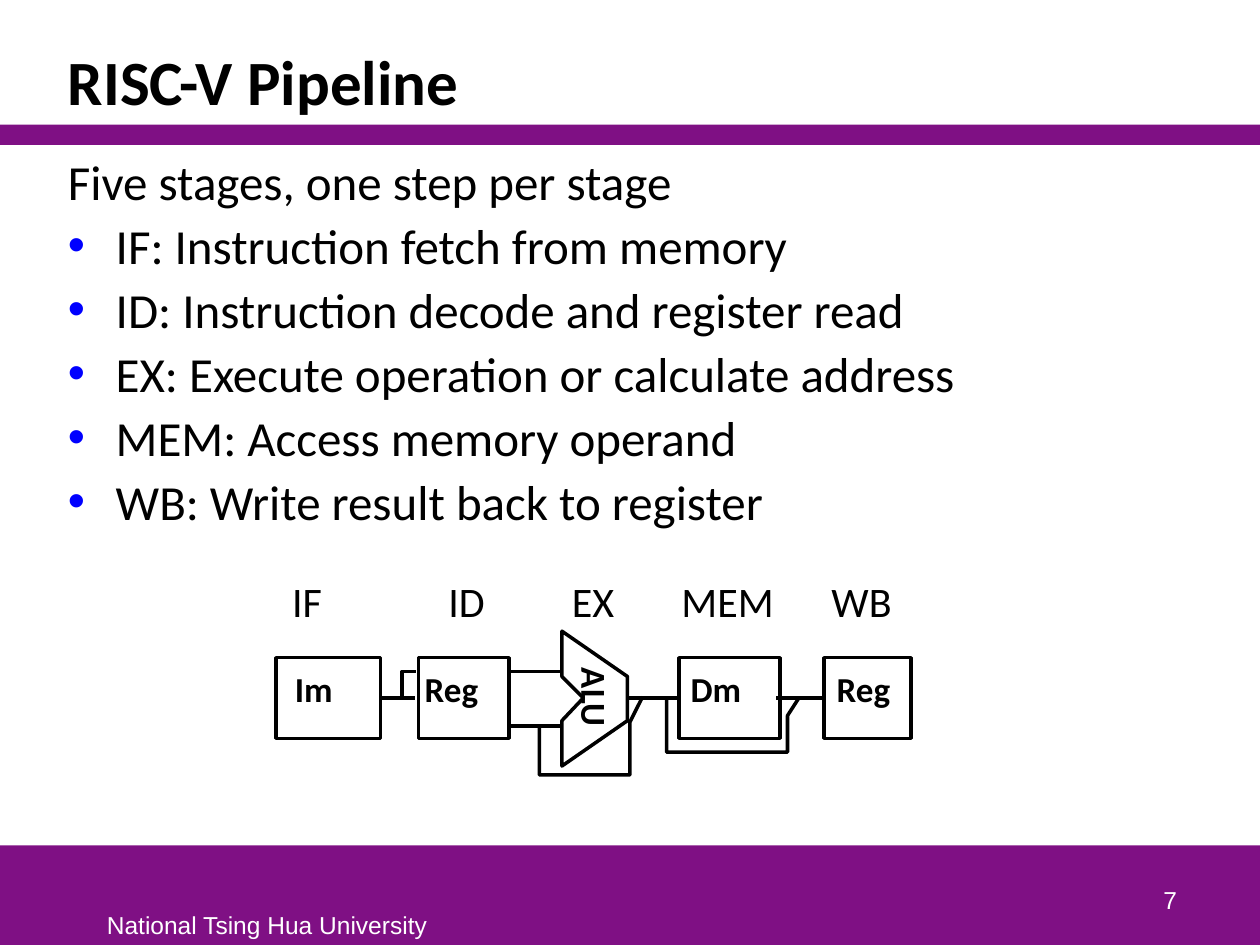
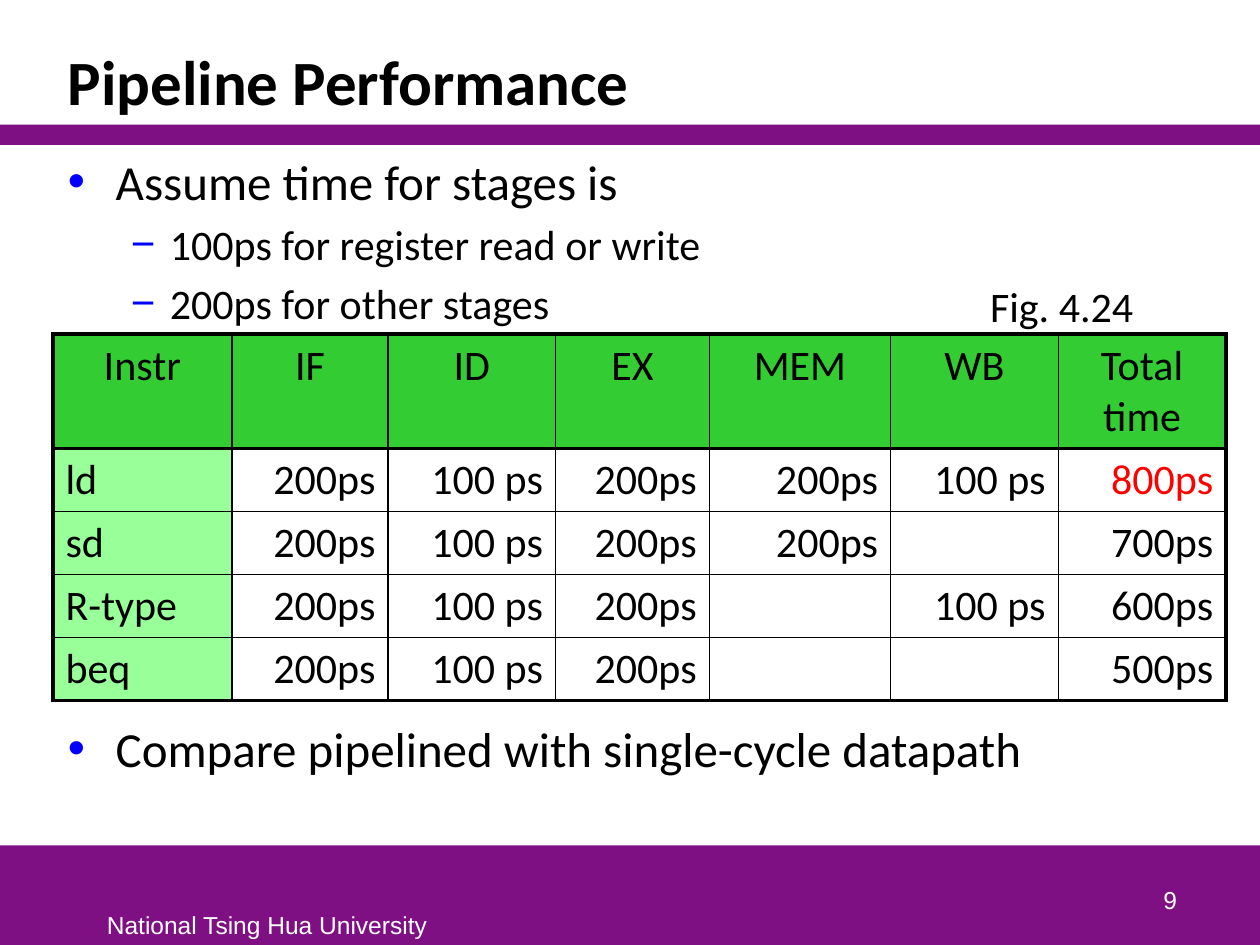
from lxml.etree import SubElement
from pptx import Presentation
from pptx.dml.color import RGBColor
from pptx.enum.shapes import MSO_CONNECTOR, MSO_SHAPE
from pptx.enum.text import MSO_ANCHOR, MSO_AUTO_SIZE, PP_ALIGN
from pptx.oxml.ns import qn
from pptx.util import Inches, Pt

COLOURS = {
    "purple": "7F1084",
    "black": "000000",
    "white": "FFFFFF",
    "blue": "0000FF",
    "red": "FF0000",
    "header green": "33CC33",
    "name green": "99FF99",
}

STYLES = {
    "title": {"name": "Calibri", "size": Pt(36), "bold": True},
    "body": {"name": "Calibri", "size": Pt(28)},
    "small": {"name": "Calibri", "size": Pt(24)},
    "part": {"name": "Calibri", "size": Pt(20), "bold": True},
    "footer": {"name": "Arial", "size": Pt(14)},
}

BULLETS = {
    "plain": None,
    "dot": ("•", 0.38, -0.38),
    "dash": ("−", 0.81, -0.31),
}
SPACES_BEFORE = {"plain": Pt(3), "dot": Pt(3), "dash": Pt(5)}

LINE_WIDTH = Pt(2)
PART_TOP, PART_HEIGHT = 5.22, 0.64
WIRE_Y = 5.54

STAGES = [
    ("IF", 2.22, 0.44),
    ("ID", 3.46, 0.49),
    ("EX", 4.44, 0.54),
    ("MEM", 5.31, 0.94),
    ("WB", 6.5, 0.68),
]
PARTS = [
    ("Im", 2.19, 0.83, 2.25, 0.49),
    ("Reg", 3.32, 0.72, 3.28, 0.62),
    ("Dm", 5.39, 0.8, 5.39, 0.59),
    ("Reg", 6.54, 0.69, 6.55, 0.62),
]
WIRES = [
    (3.02, 3.29, WIRE_Y),
    (4.04, 4.46, 5.33),
    (4.04, 4.46, 5.76),
    (4.98, 5.39, WIRE_Y),
    (6.16, 6.54, WIRE_Y),
]
ALU_OUTLINE = [(4.46, 5.72), (4.63, 5.54), (4.46, 5.37), (4.46, 5.01),
               (4.98, 5.37), (4.98, 5.72), (4.46, 6.08)]
BENT_WIRES = [
    [(3.19, 5.54), (3.19, 5.33), (3.3, 5.33)],
    [(5.29, 5.54), (5.29, 5.97), (6.25, 5.97), (6.25, 5.68), (6.34, 5.54)],
    [(4.28, 5.76), (4.28, 6.15), (5, 6.15), (5, 5.73), (5.1, 5.53)],
]

TIMES = [
    ["Instr", "IF", "ID", "EX", "MEM", "WB", "Total time"],
    ["ld", "200ps", "100 ps", "200ps", "200ps", "100 ps", "800ps"],
    ["sd", "200ps", "100 ps", "200ps", "200ps", "", "700ps"],
    ["R-type", "200ps", "100 ps", "200ps", "", "100 ps", "600ps"],
    ["beq", "200ps", "100 ps", "200ps", "", "", "500ps"],
]
COLUMN_WIDTHS = [1.42, 1.24, 1.33, 1.22, 1.44, 1.33, 1.33]
ROW_HEIGHTS = [0.91] + [0.5] * 4


def colour(name):
    return RGBColor.from_string(COLOURS[name])


def write(para, text, style, ink="black"):
    span = para.add_run()
    span.text = text
    for key, value in STYLES[style].items():
        setattr(span.font, key, value)
    span.font.color.rgb = colour(ink)


def add_box(page, place, wrap=True):
    box = page.shapes.add_textbox(*map(Inches, place))
    box.text_frame.word_wrap = wrap
    if not wrap:
        box.text_frame.auto_size = MSO_AUTO_SIZE.SHAPE_TO_FIT_TEXT
    return box


def add_text(page, text, place, style, ink="black", wrap=False,
             anchor=MSO_ANCHOR.TOP, **layout):
    box = add_box(page, place, wrap)
    box.text_frame.vertical_anchor = anchor
    para = box.text_frame.paragraphs[0]
    for key, value in layout.items():
        setattr(para, key, value)
    write(para, text, style, ink)
    return box


def add_part_label(page, name, place):
    box = add_text(page, name, place, "part")
    box.text_frame.margin_left = box.text_frame.margin_right = Inches(0.09)
    return box


def add_bullet(para, mark, left, indent):
    properties = para._p.get_or_add_pPr()
    properties.set("marL", str(Inches(left)))
    properties.set("indent", str(Inches(indent)))
    tint = SubElement(properties, qn("a:buClr"))
    SubElement(tint, qn("a:srgbClr"), val=COLOURS["blue"])
    SubElement(properties, qn("a:buFont"), typeface="Arial")
    SubElement(properties, qn("a:buChar"), char=mark)


def add_body(page, top, height, lines):
    frame = add_box(page, (0.44, top, 9.12, height)).text_frame
    for index, (text, bullet, style) in enumerate(lines):
        para = frame.add_paragraph() if index else frame.paragraphs[0]
        if BULLETS[bullet]:
            add_bullet(para, *BULLETS[bullet])
        if index:
            para.space_before = SPACES_BEFORE[bullet]
        write(para, text, style)


def add_band(page, top, height):
    band = page.shapes.add_shape(
        MSO_SHAPE.RECTANGLE, 0, Inches(top), Inches(10), Inches(height))
    band.shadow.inherit = False
    band.fill.solid()
    band.fill.fore_color.rgb = colour("purple")
    band.line.fill.background()


def draw_outline(shape):
    shape.shadow.inherit = False
    shape.fill.background()
    shape.line.color.rgb = colour("black")
    shape.line.width = LINE_WIDTH


def add_path(page, points, close=False):
    start, *rest = [(Inches(x), Inches(y)) for x, y in points]
    builder = page.shapes.build_freeform(*start)
    builder.add_line_segments(rest, close=close)
    draw_outline(builder.convert_to_shape())


def add_part(page, name, left, width, text_left, text_width):
    add_part_label(page, name, (text_left, 5.25, text_width, 0.43))
    part = page.shapes.add_shape(
        MSO_SHAPE.RECTANGLE,
        *map(Inches, (left, PART_TOP, width, PART_HEIGHT)))
    draw_outline(part)


def add_wire(page, start, end, y):
    wire = page.shapes.add_connector(
        MSO_CONNECTOR.STRAIGHT, *map(Inches, (start, y, end, y)))
    wire.line.color.rgb = colour("black")
    wire.line.width = LINE_WIDTH
    SubElement(wire._element.spPr, qn("a:effectLst"))


def add_border(cell, side, points):
    border = SubElement(cell._tc.get_or_add_tcPr(), qn(f"a:ln{side}"),
                        w=str(Pt(points)))
    fill = SubElement(border, qn("a:solidFill"))
    SubElement(fill, qn("a:srgbClr"), val=COLOURS["black"])


def format_cell(cell, row, column):
    last_row, last_column = len(TIMES) - 1, len(COLUMN_WIDTHS) - 1
    borders = {
        "L": 2.25 if column == 0 else 1,
        "R": 2.25 if column == last_column else 1,
        "T": {0: 2.25, 1: 1.5}.get(row, 1),
        "B": {0: 1.5, last_row: 2.25}.get(row, 1),
    }
    for side, points in borders.items():
        add_border(cell, side, points)
    if row == 0:
        fill, alignment = "header green", PP_ALIGN.CENTER
    elif column == 0:
        fill, alignment = "name green", PP_ALIGN.LEFT
    else:
        fill, alignment = "white", PP_ALIGN.RIGHT
    cell.fill.solid()
    cell.fill.fore_color.rgb = colour(fill)
    cell.text_frame.paragraphs[0].alignment = alignment


def add_time_table(page):
    frame = page.shapes.add_table(
        len(TIMES), len(COLUMN_WIDTHS), Inches(0.42), Inches(2.65),
        Inches(sum(COLUMN_WIDTHS)), Inches(sum(ROW_HEIGHTS)))
    table = frame.table
    table.first_row = table.horz_banding = False
    for column, width in zip(table.columns, COLUMN_WIDTHS):
        column.width = Inches(width)
    for row, height in zip(table.rows, ROW_HEIGHTS):
        row.height = Inches(height)
    for row, texts in enumerate(TIMES):
        for column, text in enumerate(texts):
            cell = table.cell(row, column)
            format_cell(cell, row, column)
            if text:
                ink = "red" if text == "800ps" else "black"
                write(cell.text_frame.paragraphs[0], text, "small", ink)


def add_page(deck, title, number):
    page = deck.slides.add_slide(deck.slide_layouts[6])
    add_band(page, 6.71, 0.79)
    add_band(page, 0.99, 0.16)
    add_text(page, "National Tsing Hua University", (0.75, 7.17, 2.76, 0.33),
             "footer", "white")
    add_text(page, title, (0.44, 0.25, 9.12, 0.74), "title", wrap=True,
             anchor=MSO_ANCHOR.BOTTOM, line_spacing=0.85)
    add_text(page, number, (7.36, 6.81, 2.08, 0.5), "footer", "white",
             wrap=True, anchor=MSO_ANCHOR.BOTTOM, alignment=PP_ALIGN.RIGHT)
    return page


def add_datapath(page):
    add_path(page, ALU_OUTLINE, close=True)
    add_part_label(page, "ALU", (4.4, 5.32, 0.65, 0.43)).rotation = 90
    for part in PARTS:
        add_part(page, *part)
    for wire in WIRES:
        add_wire(page, *wire)
    for points in BENT_WIRES:
        add_path(page, points)
    for name, left, width in STAGES:
        add_text(page, name, (left, 4.52, width, 0.5), "small")


def main():
    deck = Presentation()
    deck.slide_width, deck.slide_height = Inches(10), Inches(7.5)

    page = add_page(deck, "RISC-V Pipeline", "7")
    add_body(page, 1.15, 3.3, [
        ("Five stages, one step per stage", "plain", "body"),
        ("IF: Instruction fetch from memory", "dot", "body"),
        ("ID: Instruction decode and register read", "dot", "body"),
        ("EX: Execute operation or calculate address", "dot", "body"),
        ("MEM: Access memory operand", "dot", "body"),
        ("WB: Write result back to register", "dot", "body"),
    ])
    add_datapath(page)

    page = add_page(deck, "Pipeline Performance", "9")
    add_body(page, 1.15, 1.5, [
        ("Assume time for stages is", "dot", "body"),
        ("100ps for register read or write", "dash", "small"),
        ("200ps for other stages", "dash", "small"),
    ])
    add_time_table(page)
    add_text(page, "Fig. 4.24", (7.76, 2.18, 1.34, 0.5), "small")
    add_body(page, 5.65, 0.6, [
        ("Compare pipelined with single-cycle datapath", "dot", "body"),
    ])

    deck.save("out.pptx")


if __name__ == "__main__":
    main()
